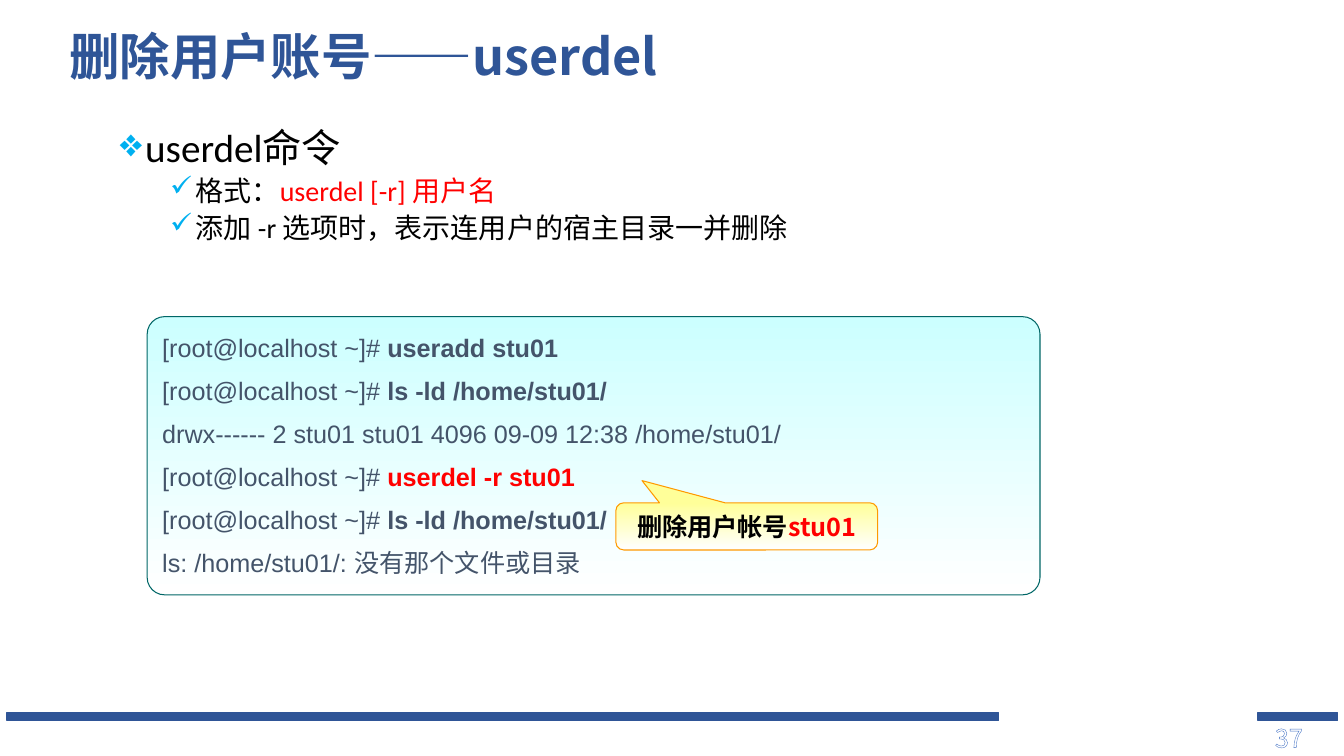
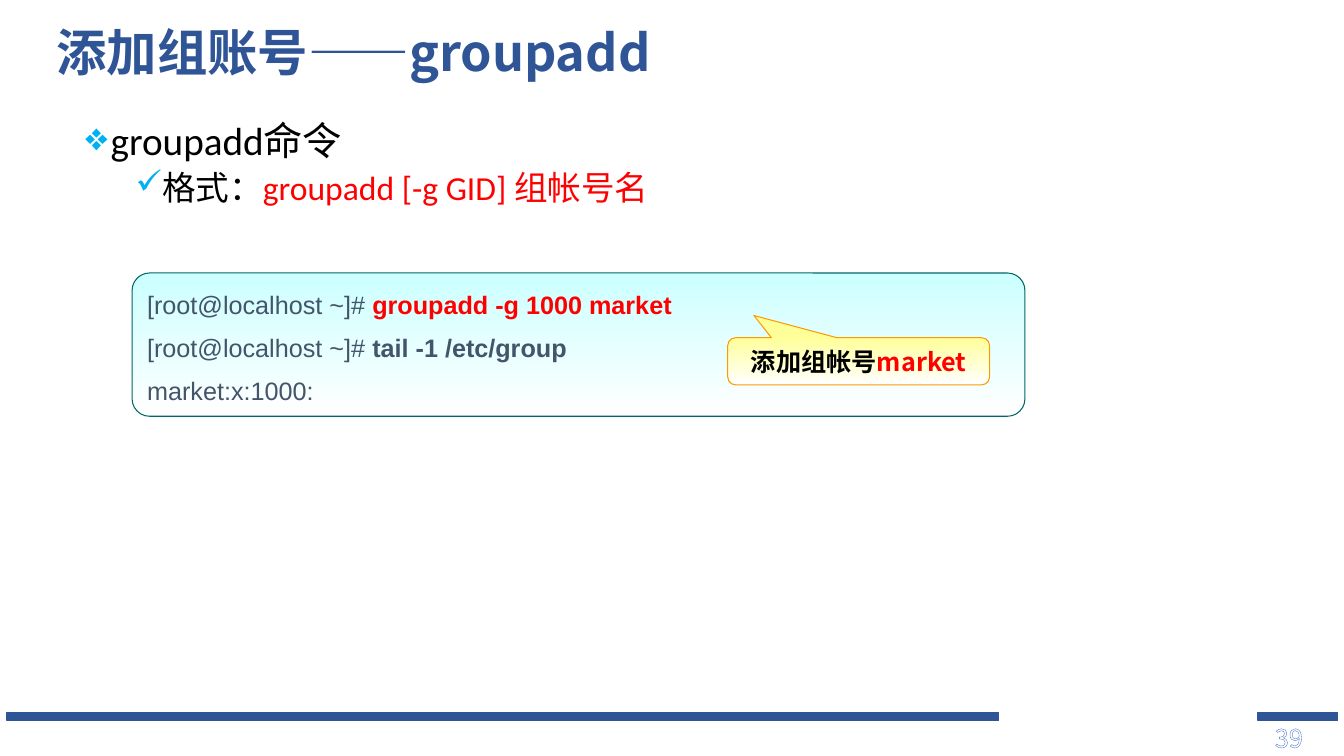
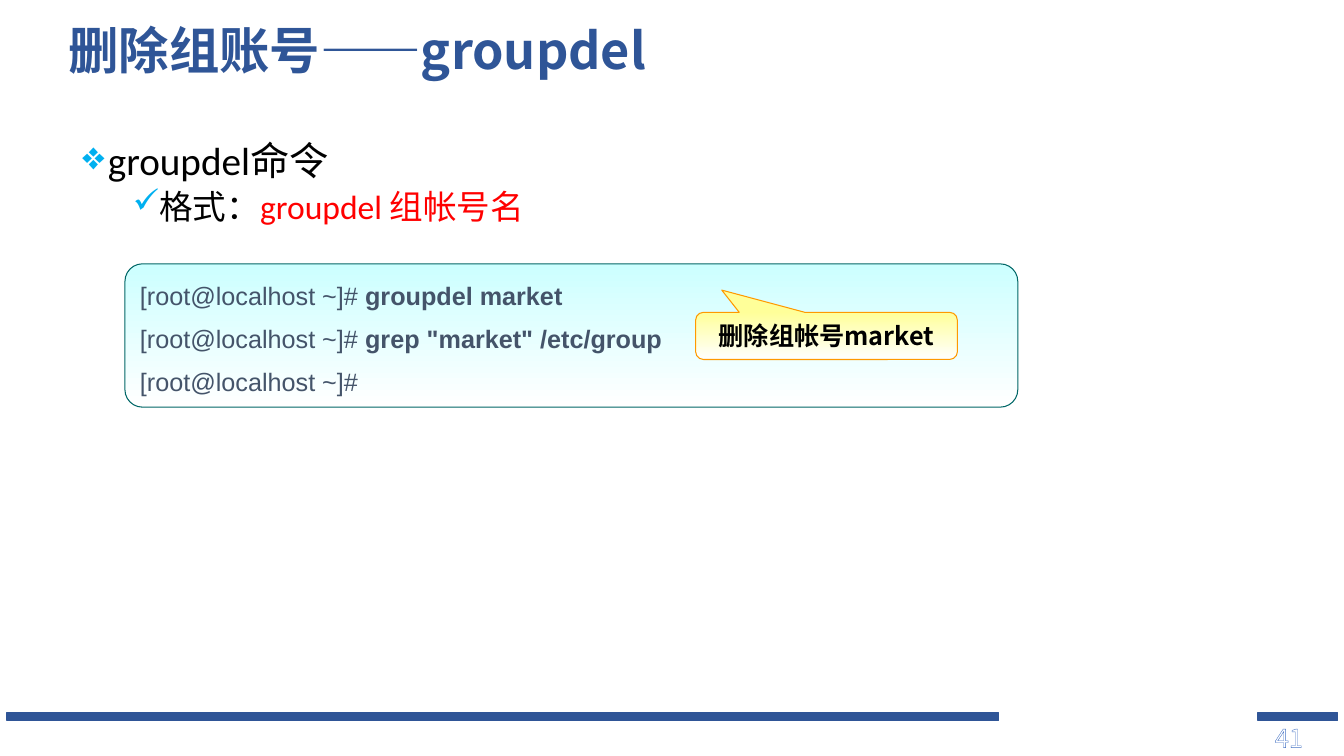
from dataclasses import dataclass

from lxml.etree import SubElement
from pptx import Presentation
from pptx.dml.color import RGBColor
from pptx.enum.dml import MSO_PATTERN
from pptx.enum.shapes import MSO_SHAPE
from pptx.enum.text import MSO_ANCHOR, PP_ALIGN
from pptx.oxml import parse_xml
from pptx.oxml.ns import nsdecls, qn
from pptx.util import Cm, Pt

NAVY = RGBColor(0x2F, 0x55, 0x97)
BLUE = RGBColor(0x44, 0x72, 0xC4)
PALE_BLUE = RGBColor(0x8F, 0xAA, 0xDC)
SKY = RGBColor(0x00, 0xB0, 0xF0)
SLATE = RGBColor(0x44, 0x54, 0x6A)
TEAL = RGBColor(0x00, 0x66, 0x66)
CYAN = RGBColor(0xCC, 0xFF, 0xFF)
ORANGE = RGBColor(0xFF, 0x99, 0x00)
YELLOW = RGBColor(0xFF, 0xFF, 0x99)
RED = RGBColor(0xFF, 0x00, 0x00)
BLACK = RGBColor(0x00, 0x00, 0x00)
WHITE = RGBColor(0xFF, 0xFF, 0xFF)

CJK_FONT = "Noto Sans CJK SC"
BODY_FONT = "Calibri"
CODE_FONT = "Arial"
PROMPT = "[root@localhost ~]# "

TITLE_SIZE = (24.33, 1.78)
BODY_WIDTH = 23.62
BODY_BOTTOM = 17.5
TERMINAL_WIDTH = 22.5
TERMINAL_RADIUS = 0.44
CALLOUT_SIZE = (6.6, 1.19)
INDENT = 0.64
LEVEL_STEP = 1.27


@dataclass
class Span:
    text: str
    color: RGBColor = None
    bold: bool = None


@dataclass
class CommandPage:
    """Content of a page; positions are left and top in centimetres."""
    number: int
    title: str
    title_at: tuple
    heading: str
    details: list
    detail_size: int
    body_at: tuple
    body_level: int
    commands: list
    terminal_at: tuple
    terminal_height: float
    callout: list
    callout_offset: tuple


def command(text, color=None):
    return [Span(PROMPT), Span(text, color, True)]


def add_text_box(page, left, top, width, height):
    box = page.shapes.add_textbox(Cm(left), Cm(top), Cm(width), Cm(height))
    box.text_frame.word_wrap = True
    return box.text_frame


def add_paragraph(frame, spans, size, typeface, color, bold=False,
                  line_spacing=1.0, space_before=0, margin=0, indent=0, bullet=None):
    """Fill the empty first paragraph of the frame, or append a new one."""
    is_first = not frame.paragraphs[0].runs
    para = frame.paragraphs[0] if is_first else frame.add_paragraph()
    para.line_spacing = line_spacing
    para.space_before = Pt(0 if is_first else space_before)
    properties = para._p.get_or_add_pPr()
    properties.set("marL", str(Cm(margin)))
    properties.set("indent", str(Cm(indent)))
    if bullet:
        bullet_color = SubElement(properties, qn("a:buClr"))
        SubElement(bullet_color, qn("a:srgbClr")).set("val", str(SKY))
        SubElement(properties, qn("a:buChar")).set("char", bullet)
    font = para.font
    font.size = Pt(size)
    font.bold = bold
    font.color.rgb = color
    font.name = typeface
    east_asian = SubElement(properties.find(qn("a:defRPr")), qn("a:ea"))
    east_asian.set("typeface", CJK_FONT)
    for span in spans:
        run = para.add_run()
        run.text = span.text
        if span.bold is not None:
            run.font.bold = span.bold
        if span.color is not None:
            run.font.color.rgb = span.color
    return para


def add_gradient_shape(page, kind, left, top, width, height, top_color, line_color):
    """Add a shape that fades from top_color down to white."""
    shape = page.shapes.add_shape(kind, Cm(left), Cm(top), Cm(width), Cm(height))
    shape.shadow.inherit = False
    shape.fill.gradient()
    shape.fill.gradient_angle = 270
    for stop, color in zip(shape.fill.gradient_stops, (top_color, WHITE)):
        stop.color.rgb = color
    shape.line.color.rgb = line_color
    shape.line.width = Pt(0.75)
    shape.text_frame.word_wrap = True
    return shape


def add_footer(page, number):
    for left, width in ((0.18, 24.99), (31.7, 2.01)):
        band = page.shapes.add_shape(
            MSO_SHAPE.RECTANGLE, Cm(left), Cm(17.96), Cm(width), Cm(0.2))
        band.shadow.inherit = False
        band.fill.solid()
        band.fill.fore_color.rgb = NAVY
        band.line.color.rgb = NAVY
        band.line.width = Pt(1)
    frame = add_text_box(page, 31.88, 18.08, 1.83, 1.02)
    para = add_paragraph(frame, [Span(str(number))], 18, CJK_FONT, PALE_BLUE)
    font = para.runs[0].font
    font.fill.patterned()
    font.fill.pattern = MSO_PATTERN.LIGHT_DOWNWARD_DIAGONAL
    font.fill.fore_color.rgb = PALE_BLUE
    font.fill.back_color.rgb = WHITE
    outline = parse_xml(
        f'<a:ln {nsdecls("a")} w="{Pt(1)}"><a:solidFill>'
        f'<a:srgbClr val="{BLUE}"/></a:solidFill></a:ln>')
    para.runs[0]._r.get_or_add_rPr().insert(0, outline)


def add_title(page, text, left, top):
    frame = add_text_box(page, left, top, *TITLE_SIZE)
    frame.vertical_anchor = MSO_ANCHOR.MIDDLE
    add_paragraph(frame, [Span(text)], 36, CJK_FONT, NAVY, bold=True, line_spacing=0.9)


def add_body(page, content, left, top):
    frame = add_text_box(page, left, top, BODY_WIDTH, BODY_BOTTOM - top)
    margin = INDENT + content.body_level * LEVEL_STEP
    add_paragraph(frame, [Span(content.heading)], 28, BODY_FONT, BLACK,
                  line_spacing=0.9, margin=margin, indent=-INDENT, bullet="❖")
    for spans in content.details:
        add_paragraph(frame, spans, content.detail_size, BODY_FONT, BLACK,
                      line_spacing=0.9, space_before=4.8,
                      margin=margin + LEVEL_STEP, indent=-INDENT, bullet="✓")


def add_terminal(page, content, left, top):
    height = content.terminal_height
    panel = add_gradient_shape(page, MSO_SHAPE.ROUNDED_RECTANGLE, left, top,
                               TERMINAL_WIDTH, height, CYAN, TEAL)
    panel.adjustments[0] = TERMINAL_RADIUS / height
    frame = panel.text_frame
    frame.vertical_anchor = MSO_ANCHOR.TOP
    for spans in content.commands:
        para = add_paragraph(frame, spans, 18, CODE_FONT, SLATE, line_spacing=1.2,
                             space_before=4.75, margin=0.97, indent=-0.97)
        para.alignment = PP_ALIGN.LEFT
    offset_x, offset_y = content.callout_offset
    add_callout(page, content.callout, left + offset_x, top + offset_y)


def add_callout(page, spans, left, top):
    callout = add_gradient_shape(page, MSO_SHAPE.ROUNDED_RECTANGULAR_CALLOUT,
                                 left, top, *CALLOUT_SIZE, YELLOW, ORANGE)
    for index, value in enumerate((-0.4, -0.97, 0.17)):
        callout.adjustments[index] = value
    callout.text_frame.vertical_anchor = MSO_ANCHOR.MIDDLE
    para = add_paragraph(callout.text_frame, spans, 18, CJK_FONT, BLACK, bold=True)
    para.alignment = PP_ALIGN.CENTER


def add_command_page(deck, content):
    page = deck.slides.add_slide(deck.slide_layouts[6])
    add_footer(page, content.number)
    add_body(page, content, *content.body_at)
    add_title(page, content.title, *content.title_at)
    add_terminal(page, content, *content.terminal_at)


PAGES = [
    CommandPage(
        number=37,
        title="删除用户账号——userdel",
        title_at=(1.5, 0.61),
        heading="userdel命令",
        details=[
            [Span("格式："), Span("userdel [-r] 用户名", RED)],
            [Span("添加 -r 选项时，表示连用户的宿主目录一并删除")],
        ],
        detail_size=20,
        body_at=(1.5, 3.12),
        body_level=1,
        commands=[
            command("useradd stu01"),
            command("ls -ld /home/stu01/"),
            [Span("drwx------ 2 stu01 stu01 4096 09-09 12:38 /home/stu01/")],
            command("userdel -r stu01", RED),
            command("ls -ld /home/stu01/"),
            [Span("ls: /home/stu01/: 没有那个文件或目录")],
        ],
        terminal_at=(3.71, 7.98),
        terminal_height=7.01,
        callout=[Span("删除用户帐号"), Span("stu01", RED)],
        callout_offset=(11.81, 4.69),
    ),
    CommandPage(
        number=39,
        title="添加组账号——groupadd",
        title_at=(1.17, 0.51),
        heading="groupadd命令",
        details=[[Span("格式："), Span("groupadd [-g GID] 组帐号名", RED)]],
        detail_size=24,
        body_at=(1.9, 2.95),
        body_level=0,
        commands=[
            command("groupadd -g 1000 market", RED),
            command("tail -1 /etc/group"),
            [Span("market:x:1000:")],
        ],
        terminal_at=(3.33, 6.88),
        terminal_height=3.61,
        callout=[Span("添加组帐号"), Span("market", RED)],
        callout_offset=(15.01, 1.63),
    ),
    CommandPage(
        number=41,
        title="删除组账号——groupdel",
        title_at=(1.47, 0.46),
        heading="groupdel命令",
        details=[[Span("格式："), Span("groupdel 组帐号名", RED)]],
        detail_size=24,
        body_at=(1.83, 3.45),
        body_level=0,
        commands=[
            command("groupdel market"),
            command('grep "market" /etc/group'),
            [Span(PROMPT.rstrip())],
        ],
        terminal_at=(3.15, 6.65),
        terminal_height=3.61,
        callout=[Span("删除组帐号market")],
        callout_offset=(14.38, 1.22),
    ),
]


def main():
    deck = Presentation()
    deck.slide_width = Cm(33.87)
    deck.slide_height = Cm(19.05)
    for content in PAGES:
        add_command_page(deck, content)
    deck.save("out.pptx")


if __name__ == "__main__":
    main()
